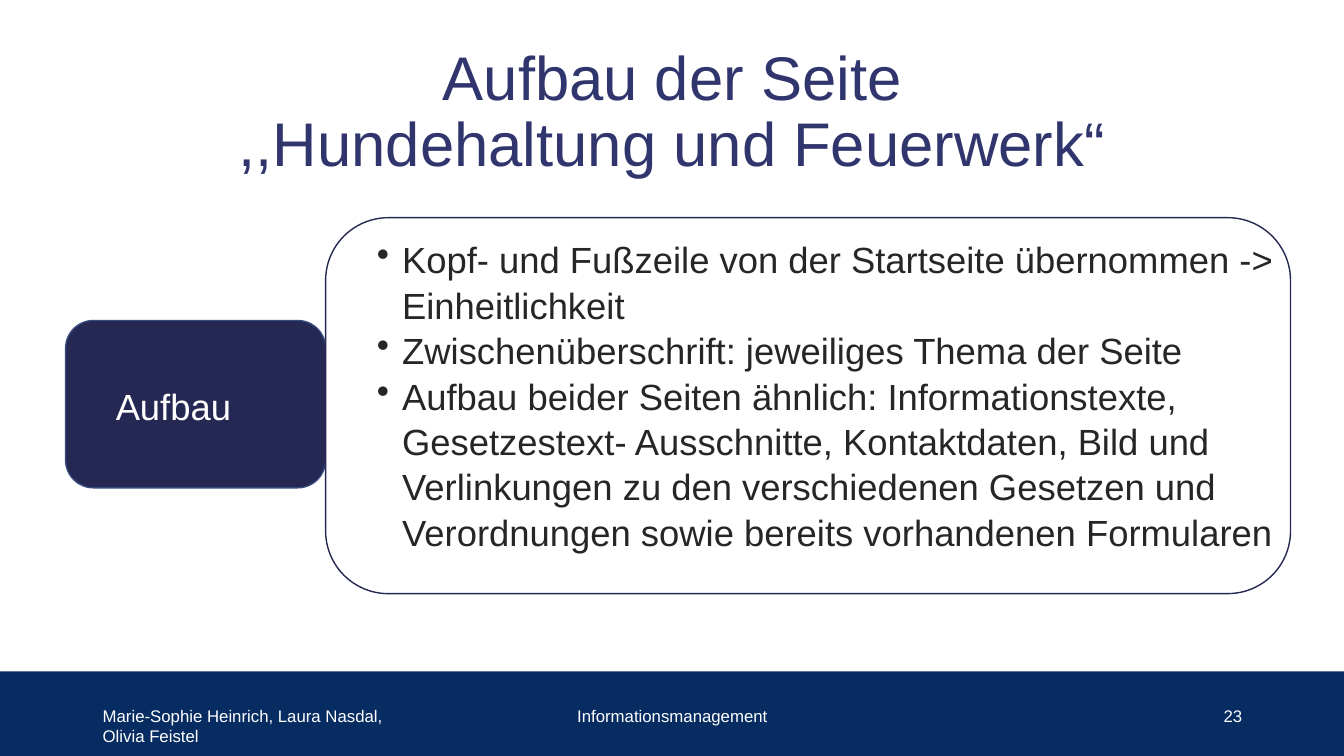
from pptx import Presentation
from pptx.dml.color import RGBColor as RGB
from pptx.enum.shapes import MSO_SHAPE as SHAPE
from pptx.enum.text import MSO_ANCHOR as ANCHOR, PP_ALIGN as ALIGN
from pptx.oxml.ns import qn
from pptx.util import Inches, Pt
from lxml import etree

WHITE = RGB(0xFF, 0xFF, 0xFF)
FOOTER_BLUE = RGB(0x07, 0x2C, 0x62)
NAVY = RGB(0x24, 0x28, 0x52)
EDGE = RGB(0x37, 0x4B, 0x7F)
TITLE_BLUE = RGB(0x30, 0x35, 0x6D)
DARK = RGB(0x26, 0x26, 0x26)

prs = Presentation()
prs.slide_width, prs.slide_height = Inches(13.33), Inches(7.5)
s = prs.slides.add_slide(prs.slide_layouts[6])


def add_box(kind, x, y, w, h, fill, line=None):
    sp = s.shapes.add_shape(kind, Inches(x), Inches(y), Inches(w), Inches(h))
    sp.shadow.inherit = False
    sp.fill.solid()
    sp.fill.fore_color.rgb = fill
    if line is None:
        sp.line.fill.background()
    else:
        sp.line.color.rgb = line
        sp.line.width = Pt(1)


def add_text(x, y, w, h, lines, size, color, align=ALIGN.LEFT, anchor=ANCHOR.TOP, spacing=1.0):
    tf = s.shapes.add_textbox(Inches(x), Inches(y), Inches(w), Inches(h)).text_frame
    tf.word_wrap = True
    tf.vertical_anchor = anchor
    for i, line in enumerate(lines):
        p = tf.paragraphs[0] if i == 0 else tf.add_paragraph()
        p.text = line
        p.alignment = align
        p.line_spacing = spacing
        p.font.name = "Arial"
        p.font.size = Pt(size)
        p.font.color.rgb = color
    return tf


add_box(SHAPE.RECTANGLE, 0, 6.66, 13.33, 0.84, FOOTER_BLUE)
add_box(SHAPE.ROUNDED_RECTANGLE, 0.65, 3.18, 2.58, 1.66, NAVY, EDGE)
add_box(SHAPE.ROUNDED_RECTANGLE, 3.23, 2.16, 9.57, 3.73, WHITE, NAVY)

add_text(0.92, 0.4, 11.5, 1.45, ["Aufbau der Seite", ",,Hundehaltung und Feuerwerk“"],
         44, TITLE_BLUE, ALIGN.CENTER, ANCHOR.MIDDLE, 0.9)
add_text(1.05, 3.4, 2.1, 0.9, ["Aufbau"], 26, WHITE, anchor=ANCHOR.BOTTOM, spacing=0.9)

points = [
    "Kopf- und Fußzeile von der Startseite übernommen -> Einheitlichkeit",
    "Zwischenüberschrift: jeweiliges Thema der Seite",
    "Aufbau beider Seiten ähnlich: Informationstexte, Gesetzestext- Ausschnitte, "
    "Kontaktdaten, Bild und Verlinkungen zu den verschiedenen Gesetzen und "
    "Verordnungen sowie bereits vorhandenen Formularen",
]
tf = add_text(3.35, 2.29, 9.75, 4.03, points, 26, DARK, spacing=1.04)
for p in tf.paragraphs:
    pPr = p._p.get_or_add_pPr()
    pPr.set("marL", str(Inches(0.54)))
    pPr.set("indent", str(Inches(-0.25)))
    bullet = etree.Element(qn("a:buChar"), char="•")
    pPr.find(qn("a:defRPr")).addprevious(bullet)

footers = [
    (0.92, 3, "Marie-Sophie Heinrich, Laura Nasdal, Olivia Feistel", ALIGN.LEFT),
    (4.42, 4.5, "Informationsmanagement", ALIGN.CENTER),
    (9.42, 3, "23", ALIGN.RIGHT),
]
for x, w, text, align in footers:
    add_text(x, 6.95, w, 0.4, [text], 12, WHITE, align)

prs.save("out.pptx")
